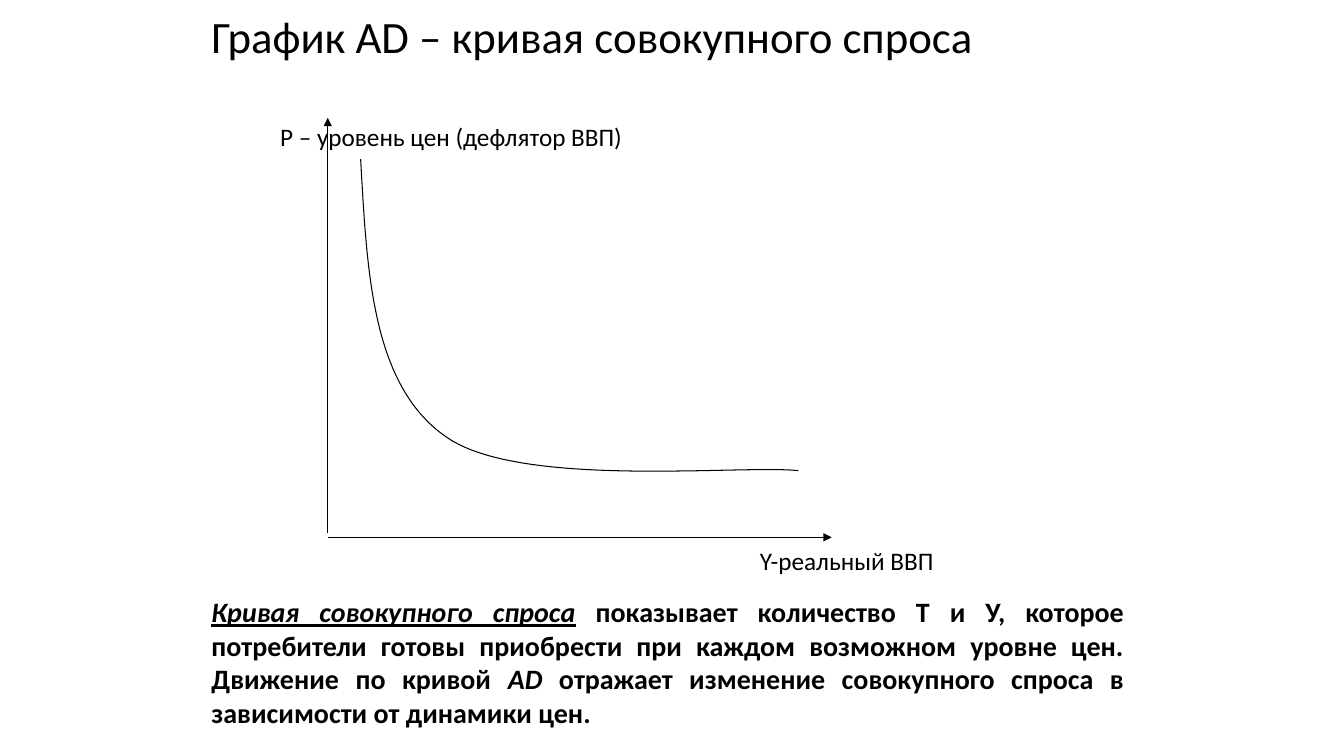
from lxml.etree import SubElement
from pptx import Presentation
from pptx.dml.color import RGBColor
from pptx.enum.shapes import MSO_CONNECTOR
from pptx.enum.text import MSO_ANCHOR, PP_ALIGN
from pptx.oxml.ns import qn
from pptx.util import Cm, Pt

COLORS = {"ink": "000000"}
FONT = "Calibri"
CURVE_STEPS = 40
DEMAND_CURVE = [
    [(9.09, 4.01), (9.25, 6.86), (9.37, 9.7), (11.23, 11)],
    [(11.23, 11), (13.06, 12.32), (18.62, 11.71), (20.12, 11.86)],
]
EXPLANATION = [
    ("Кривая совокупного спроса", True, True),
    (" показывает количество Т и У, которое потребители готовы приобрести "
     "при каждом возможном уровне цен. Движение по кривой ", False, False),
    ("AD ", True, False),
    ("отражает изменение совокупного спроса в зависимости от динамики цен.",
     False, False),
]


def add_text(page, left, top, width, height, spans, size, bold=False,
             align=PP_ALIGN.LEFT, spacing=1.0):
    box = page.shapes.add_textbox(Cm(left), Cm(top), Cm(width), Cm(height))
    frame = box.text_frame
    frame.word_wrap = True
    frame.vertical_anchor = MSO_ANCHOR.MIDDLE
    para = frame.paragraphs[0]
    para.alignment = align
    para.line_spacing = spacing
    para.font.name = FONT
    para.font.size = Pt(size)
    para.font.bold = bold
    para.font.color.rgb = RGBColor.from_string(COLORS["ink"])
    for text, italic, underline in spans:
        span = para.add_run()
        span.text = text
        if italic:
            span.font.italic = True
        if underline:
            span.font.underline = True


def add_label(page, left, top, width, text, size=18, height=1, spacing=1.0):
    add_text(page, left, top, width, height, [(text, False, False)], size,
             spacing=spacing)


def style_line(line):
    line.color.rgb = RGBColor.from_string(COLORS["ink"])
    line.width = Pt(0.75)


def add_axis(page, start, end):
    axis = page.shapes.add_connector(
        MSO_CONNECTOR.STRAIGHT, *map(Cm, start), *map(Cm, end))
    style_line(axis.line)
    SubElement(axis.line._get_or_add_ln(), qn("a:tailEnd"), type="triangle")
    SubElement(axis._element.spPr, qn("a:effectLst"))


def bezier_point(controls, t):
    weights = ((1 - t) ** 3, 3 * t * (1 - t) ** 2, 3 * t ** 2 * (1 - t), t ** 3)
    return tuple(
        Cm(sum(weight * value for weight, value in zip(weights, values)))
        for values in zip(*controls))


def add_curve(page, segments):
    points = [bezier_point(controls, step / CURVE_STEPS)
              for controls in segments for step in range(1, CURVE_STEPS + 1)]
    builder = page.shapes.build_freeform(*map(Cm, segments[0][0]))
    builder.add_line_segments(points, close=False)
    curve = builder.convert_to_shape()
    curve.shadow.inherit = False
    curve.fill.background()
    style_line(curve.line)


def main():
    deck = Presentation()
    deck.slide_width, deck.slide_height = Cm(33.87), Cm(19.05)
    page = deck.slides.add_slide(deck.slide_layouts[6])
    add_label(page, 5.08, 0, 22.86, "График AD – кривая совокупного спроса",
              size=32, height=1.98, spacing=0.9)
    add_label(page, 6.81, 2.93, 10, "P – уровень цен (дефлятор ВВП)")
    add_axis(page, (8.26, 13.44), (8.26, 2.97))
    add_axis(page, (8.26, 13.54), (20.96, 13.54))
    add_curve(page, DEMAND_CURVE)
    add_label(page, 18.9, 13.63, 5.4, "Y-реальный ВВП")
    add_text(page, 5.08, 14.86, 23.5, 3.63, EXPLANATION, 20, bold=True,
             align=PP_ALIGN.JUSTIFY)
    deck.save("out.pptx")


if __name__ == "__main__":
    main()
